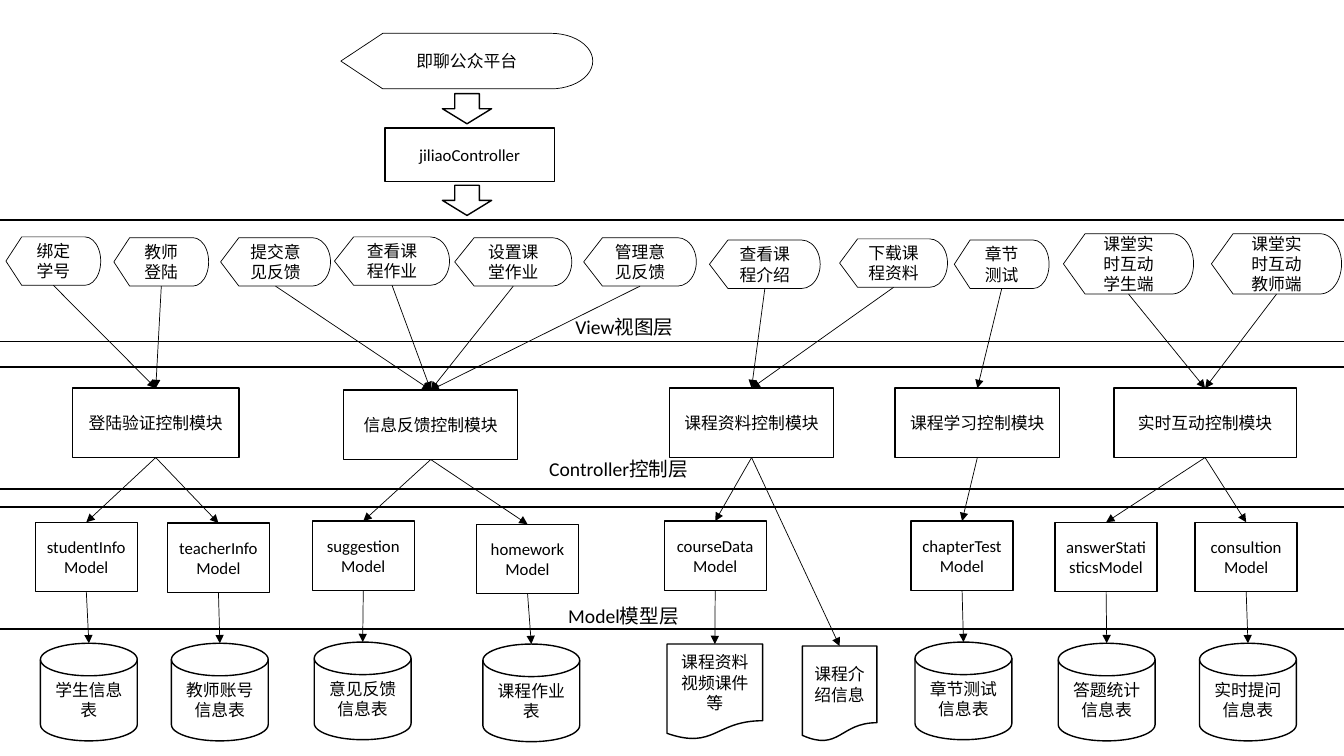
from lxml.etree import SubElement
from pptx import Presentation
from pptx.dml.color import RGBColor
from pptx.enum.shapes import MSO_CONNECTOR, MSO_SHAPE as Preset
from pptx.enum.text import MSO_ANCHOR as Anchor, MSO_AUTO_SIZE as AutoSize, PP_ALIGN as Align
from pptx.oxml.ns import qn
from pptx.util import Cm, Pt

COLORS = {"ink": "000000"}
LATIN, CJK = "Calibri", "Noto Sans CJK SC"
TOP, BOTTOM = 0, 2  # connection sites

# Layer bands: top edge, then label text, left, top, width
BANDS = [
    (5.54, "View视图层", 14.25, 7.82, 6.83),
    (9.25, "Controller控制层", 13.59, 11.38, 6.83),
    (12.78, "Model模型层", 14.07, 15.09, 4.93),
]

# Modules: text, left, top, width
MODULES = {
    "login": ("登陆验证控制模块", 1.83, 9.78, 4.19),
    "feedback": ("信息反馈控制模块", 8.66, 9.83, 4.39),
    "material": ("课程资料控制模块", 16.87, 9.78, 4.14),
    "study": ("课程学习控制模块", 22.56, 9.78, 4.14),
    "live": ("实时互动控制模块", 28.07, 9.78, 4.6),
}

# Views: module they call, text, left, top, width, height
VIEWS = [
    ("login", "绑定学号", 0.15, 5.97, 2.39, 1.22),
    ("login", "教师登陆", 2.87, 5.99, 2.39, 1.22),
    ("feedback", "提交意见反馈", 5.56, 5.99, 2.77, 1.22),
    ("feedback", "查看课程作业", 8.43, 5.97, 2.9, 1.22),
    ("feedback", "设置课堂作业", 11.46, 5.99, 2.95, 1.22),
    ("feedback", "管理意见反馈", 14.71, 5.99, 2.84, 1.22),
    ("material", "查看课程介绍", 17.88, 6.05, 2.79, 1.22),
    ("material", "下载课程资料", 21.16, 6.02, 2.72, 1.22),
    ("study", "章节测试", 24.05, 6.05, 2.39, 1.22),
    ("live", "课堂实时互动学生端", 26.8, 5.89, 3.28, 1.52),
    ("live", "课堂实时互动教师端", 30.53, 5.89, 3.28, 1.52),
]

# Models with their table: module, model text, left, top, table text, left, top
MODELS = [
    ("login", "studentInfoModel", 0.89, 13.16, "学生信息表", 1.02, 16.21),
    ("login", "teacherInfoModel", 4.22, 13.18, "教师账号信息表", 4.32, 16.21),
    ("feedback", "suggestionModel", 7.87, 13.13, "意见反馈信息表", 7.92, 16.18),
    ("feedback", "homeworkModel", 12.01, 13.21, "课程作业表", 12.17, 16.23),
    ("material", "courseDataModel", 16.74, 13.13, "课程资料 视频课件等", 16.81, 16.23),
    ("study", "chapterTestModel", 22.96, 13.13, "章节测试信息表", 23.06, 16.18),
    ("live", "answerStatisticsModel", 26.59, 13.16, "答题统计信息表", 26.67, 16.21),
    ("live", "consultionModel", 30.12, 13.16, "实时提问信息表", 30.23, 16.21),
]


def write(shape, text, size=12, font=LATIN, align=Align.CENTER, anchor=Anchor.MIDDLE):
    frame = shape.text_frame
    frame.word_wrap = True
    frame.vertical_anchor = anchor
    paragraph = frame.paragraphs[0]
    paragraph.alignment = align
    run = paragraph.add_run()
    run.text = text
    run.font.size = Pt(size)
    run.font.name = font
    run.font.color.rgb = RGBColor.from_string(COLORS["ink"])
    SubElement(run.font._element, qn("a:ea"), typeface=CJK)


def add_outline(slide, preset, left, top, width, height, text=None, line=1, font=LATIN):
    shape = slide.shapes.add_shape(preset, Cm(left), Cm(top), Cm(width), Cm(height))
    shape.shadow.inherit = False
    shape.fill.background()
    shape.line.color.rgb = RGBColor.from_string(COLORS["ink"])
    shape.line.width = Pt(line)
    if text:
        write(shape, text, font=font)
    return shape


def add_label(slide, text, left, top, width):
    label = slide.shapes.add_textbox(Cm(left), Cm(top), Cm(width), Cm(0.86))
    write(label, text, size=14, align=Align.LEFT, anchor=Anchor.TOP)
    label.text_frame.auto_size = AutoSize.SHAPE_TO_FIT_TEXT


def add_arrow(slide, source, target):
    """Arrow from the bottom middle of source to the top middle of target."""
    arrow = slide.shapes.add_connector(
        MSO_CONNECTOR.STRAIGHT,
        source.left + source.width // 2, source.top + source.height,
        target.left + target.width // 2, target.top)
    arrow.begin_connect(source, BOTTOM)
    # Site 0 of a disk lies inside its lid, so only other shapes are joined
    if target.auto_shape_type != Preset.FLOWCHART_MAGNETIC_DISK:
        arrow.end_connect(target, TOP)
    arrow.line.color.rgb = RGBColor.from_string(COLORS["ink"])
    arrow.line.width = Pt(0.5)
    SubElement(arrow.line._get_or_add_ln(), qn("a:tailEnd"), type="triangle")
    SubElement(arrow._element.spPr, qn("a:effectLst"))


def add_document(slide, text, left, top, width):
    return add_outline(slide, Preset.FLOWCHART_DOCUMENT, left, top, width, 2.41, text, font=CJK)


def add_disk(slide, text, left, top):
    return add_outline(slide, Preset.FLOWCHART_MAGNETIC_DISK, left, top, 2.44, 2.46, text, font=CJK)


def main():
    presentation = Presentation()
    presentation.slide_width, presentation.slide_height = Cm(33.87), Cm(19.05)
    slide = presentation.slides.add_slide(presentation.slide_layouts[6])

    # Layer bands
    for band_top, text, left, top, width in BANDS:
        add_outline(slide, Preset.FLOWCHART_PROCESS, -0.61, band_top, 35.23, 3.07)
        add_label(slide, text, left, top, width)

    # Entry point
    add_outline(slide, Preset.FLOWCHART_DISPLAY, 8.59, 0.84, 6.35, 1.4, "即聊公众平台", line=0.5)
    add_outline(slide, Preset.FLOWCHART_PROCESS, 9.7, 3.23, 4.27, 1.35, "jiliaoController")
    for top in (2.36, 4.67):
        add_outline(slide, Preset.DOWN_ARROW, 11.15, top, 1.24, 0.76)

    # Control modules
    modules = {
        key: add_outline(slide, Preset.FLOWCHART_PROCESS, left, top, width, 1.75, text)
        for key, (text, left, top, width) in MODULES.items()
    }

    # Views
    for key, text, left, top, width, height in VIEWS:
        view = add_outline(slide, Preset.FLOWCHART_DISPLAY, left, top, width, height, text, line=0.5)
        add_arrow(slide, view, modules[key])

    # Models and their stored data
    for key, text, left, top, store_text, store_left, store_top in MODELS:
        model = add_outline(slide, Preset.FLOWCHART_PROCESS, left, top, 2.57, 1.75, text)
        if key == "material":
            store = add_document(slide, store_text, store_left, store_top, 2.41)
        else:
            store = add_disk(slide, store_text, store_left, store_top)
        add_arrow(slide, modules[key], model)
        add_arrow(slide, model, store)

    # Course introduction is read without a model
    introduction = add_document(slide, "课程介绍信息", 20.22, 16.28, 1.88)
    add_arrow(slide, modules["material"], introduction)

    presentation.save("out.pptx")


if __name__ == "__main__":
    main()
